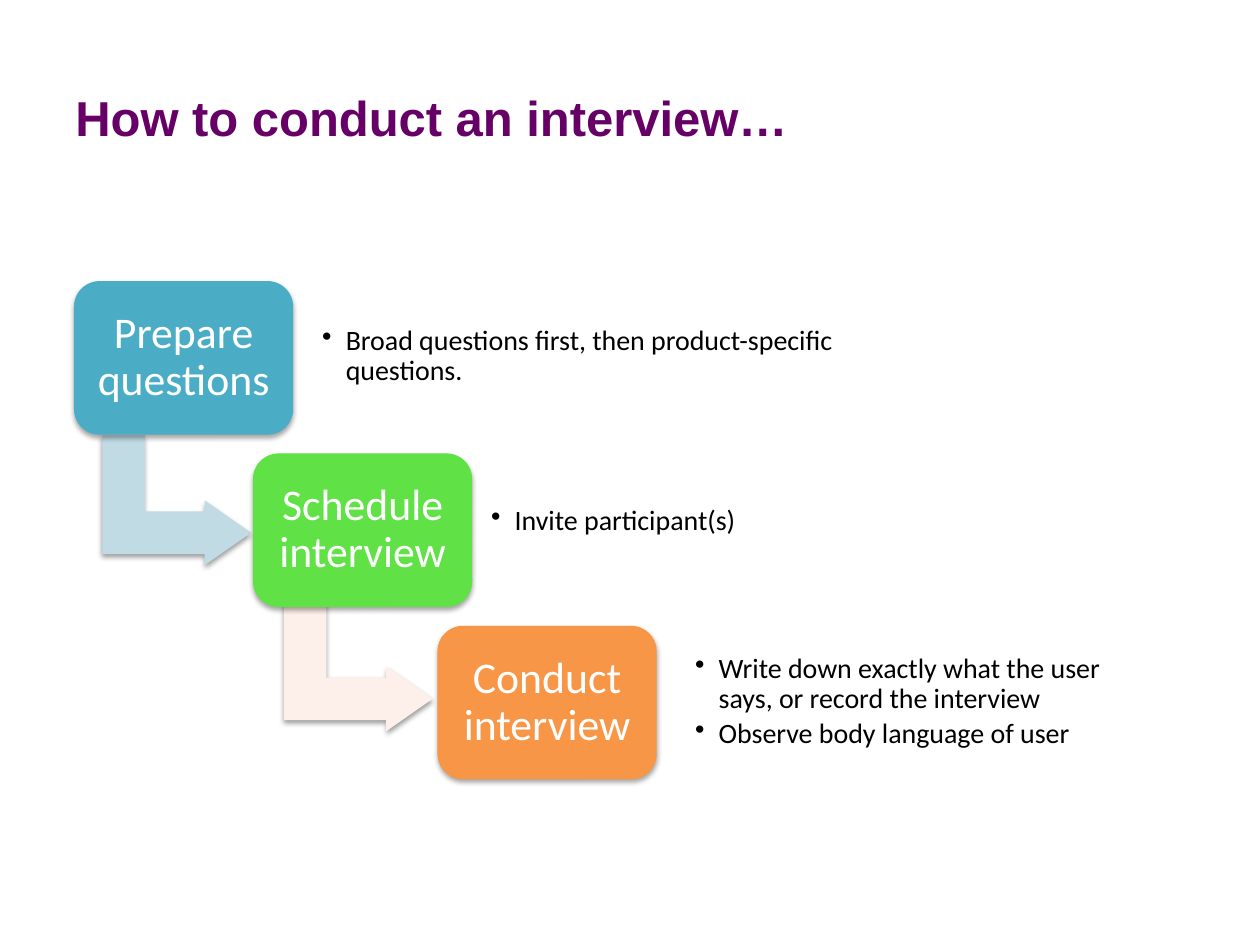
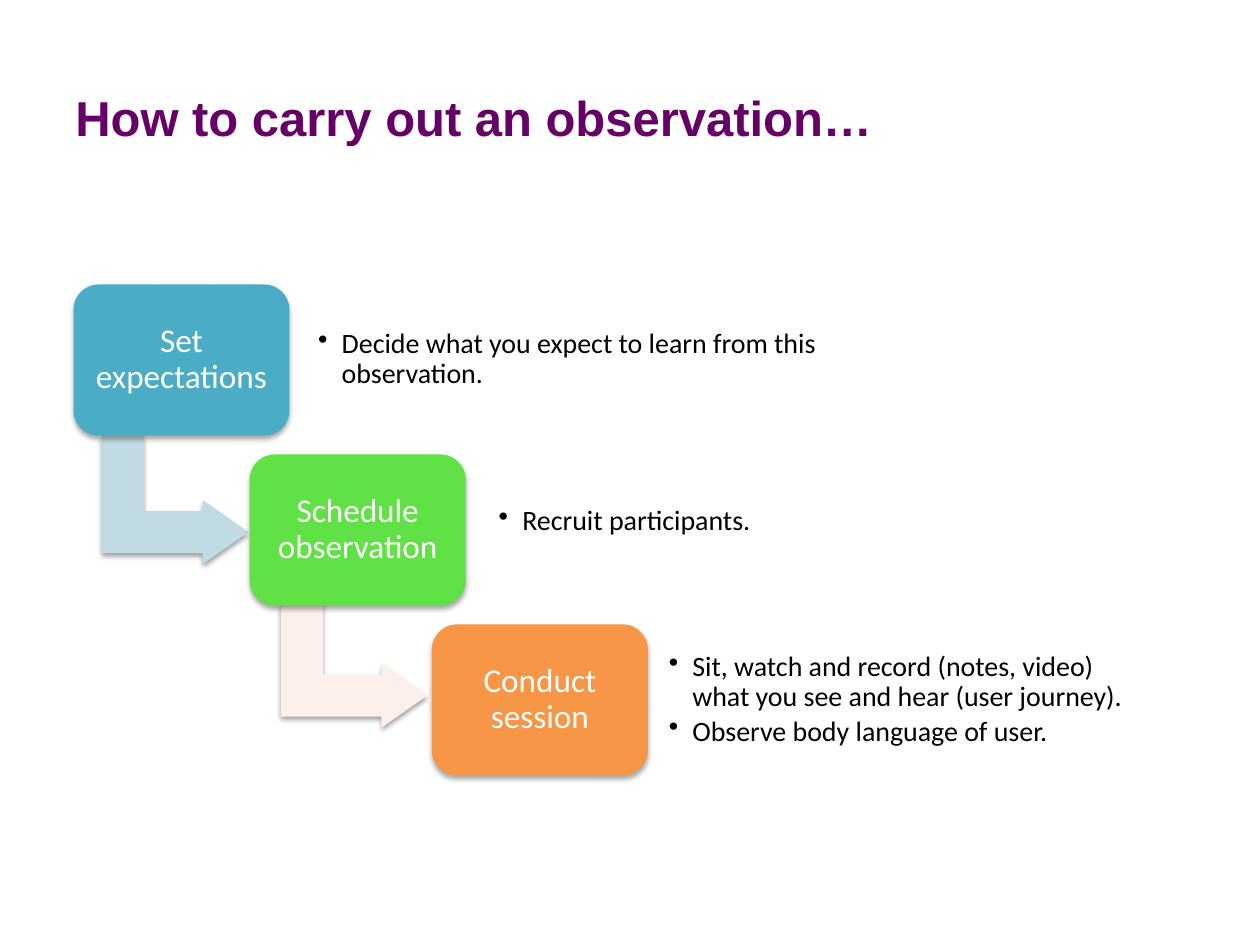
from dataclasses import dataclass

from lxml import etree
from pptx import Presentation
from pptx.dml.color import RGBColor
from pptx.enum.shapes import MSO_SHAPE
from pptx.enum.text import MSO_ANCHOR, PP_ALIGN
from pptx.oxml.ns import qn
from pptx.util import Pt

ROUNDED = MSO_SHAPE.ROUNDED_RECTANGLE
BENT_ARROW = MSO_SHAPE.BENT_UP_ARROW
MIDDLE = MSO_ANCHOR.MIDDLE
CENTER = PP_ALIGN.CENTER


@dataclass(frozen=True)
class Theme:
    title_color: str = "660066"
    step_fills: tuple = ("4BACC6", "60E146", "F79646")
    arrow_fills: tuple = ("C1DBE5", "FDEFE9")
    step_text: str = "FFFFFF"
    note_text: str = "000000"
    title_font: str = "Arial"
    body_font: str = "Calibri"
    title_size: float = 28
    note_size: float = 16


theme = Theme()


def add_solid(page, kind, left, top, width, height, fill, opacity, distance):
    """Add a filled shape without outline, with a soft shadow below it."""
    shape = page.shapes.add_shape(kind, Pt(left), Pt(top), Pt(width), Pt(height))
    shape.fill.solid()
    shape.fill.fore_color.rgb = RGBColor.from_string(fill)
    shape.line.fill.background()
    shape.shadow.inherit = False
    effects = shape.element.spPr.find(qn("a:effectLst"))
    shadow = etree.SubElement(effects, qn("a:outerShdw"), blurRad=str(Pt(3.1)),
                              dist=str(Pt(distance)), dir="5400000", rotWithShape="0")
    color = etree.SubElement(shadow, qn("a:srgbClr"), val="000000")
    etree.SubElement(color, qn("a:alpha"), val=str(opacity * 1000))
    return shape


def write_text(shape, lines, font, size, color, inset, bold=False):
    """Fill a shape with one paragraph per line and return the paragraphs."""
    frame = shape.text_frame
    frame.word_wrap = True
    frame.vertical_anchor = MIDDLE
    frame.margin_left = frame.margin_right = Pt(inset)
    frame.margin_top = frame.margin_bottom = Pt(inset)
    frame.text = "\n".join(lines)
    for para in frame.paragraphs:
        para.font.name = font
        para.font.size = Pt(size)
        para.font.bold = bold
        para.font.color.rgb = RGBColor.from_string(color)
    return frame.paragraphs


# Each step: label, box left, note frame (left, top, width, height), notes
pages = [
    dict(
        title="How to conduct an interview…",
        top=160.6, pitch=98.5, box=(125.3, 87.8), arrow=(74.2, 85),
        label_size=25, label_inset=7.2,
        steps=[
            ("Prepare questions", 42.3, (179.3, 168.5, 323.3, 70.6),
             ["Broad questions first, then product-specific questions."]),
            ("Schedule interview", 144.6, (275.8, 289.4, 149.8, 17.3),
             ["Invite participant(s)"]),
            ("Conduct interview", 250, (392.4, 365.8, 267.8, 70.6),
             ["Write down exactly what the user says, or record the interview",
              "Observe body language of user"]),
        ],
    ),
    dict(
        title="How to carry out an observation…",
        top=162.6, pitch=97.1, box=(123.4, 86.4), arrow=(73.2, 83.6),
        label_size=19, label_inset=5.8,
        steps=[
            ("Set expectations", 42, (177, 170.6, 318.2, 69.8),
             ["Decide what you expect to learn from this observation."]),
            ("Schedule observation", 142.7, (280.2, 286.6, 242.6, 23),
             ["Recruit participants."]),
            ("Conduct session", 246.8, (377.4, 365, 283, 69.8),
             ["Sit, watch and record (notes, video) what you see and hear (user journey).",
              "Observe body language of user."]),
        ],
    ),
]
# Arrow start: right of the box's left edge, above its bottom edge
arrow_offsets = [(21.6, 5), (23, 8.6)]

deck = Presentation()
deck.slide_width, deck.slide_height = Pt(720), Pt(540)

for content in pages:
    page = deck.slides.add_slide(deck.slide_layouts[6])

    # Title
    title = page.shapes.add_textbox(Pt(36), Pt(21.6), Pt(648), Pt(90))
    write_text(title, [content["title"]], theme.title_font, theme.title_size,
               theme.title_color, 7.2, bold=True)

    # Staircase of steps
    width, height = content["box"]
    for index, (label, left, note_frame, notes) in enumerate(content["steps"]):
        top = content["top"] + index * content["pitch"]

        # Arrow to the next step, behind the box
        if index < len(arrow_offsets):
            right, up = arrow_offsets[index]
            arrow = add_solid(page, BENT_ARROW, left + right, top + height - up,
                              *content["arrow"], theme.arrow_fills[index], 38, 1.6)
            arrow.rotation = 90
            for position, value in enumerate((0.328, 0.25, 0.358)):
                arrow.adjustments[position] = value

        # Step box
        box = add_solid(page, ROUNDED, left, top, width, height,
                        theme.step_fills[index], 35, 1.8)
        for para in write_text(box, [label], theme.body_font, content["label_size"],
                               theme.step_text, content["label_inset"]):
            para.alignment = CENTER
            para.line_spacing = 0.9

        # Bulleted notes
        note = page.shapes.add_textbox(*map(Pt, note_frame))
        for para in write_text(note, notes, theme.body_font, theme.note_size,
                               theme.note_text, 4.8):
            para.line_spacing = 0.9
            para.space_after = Pt(2.4)
            properties = para._p.get_or_add_pPr()
            properties.set("marL", str(Pt(13.5)))
            properties.set("indent", str(Pt(-13.5)))
            bullet = etree.Element(qn("a:buChar"), char="•")
            properties.find(qn("a:spcAft")).addnext(bullet)

deck.save("out.pptx")
